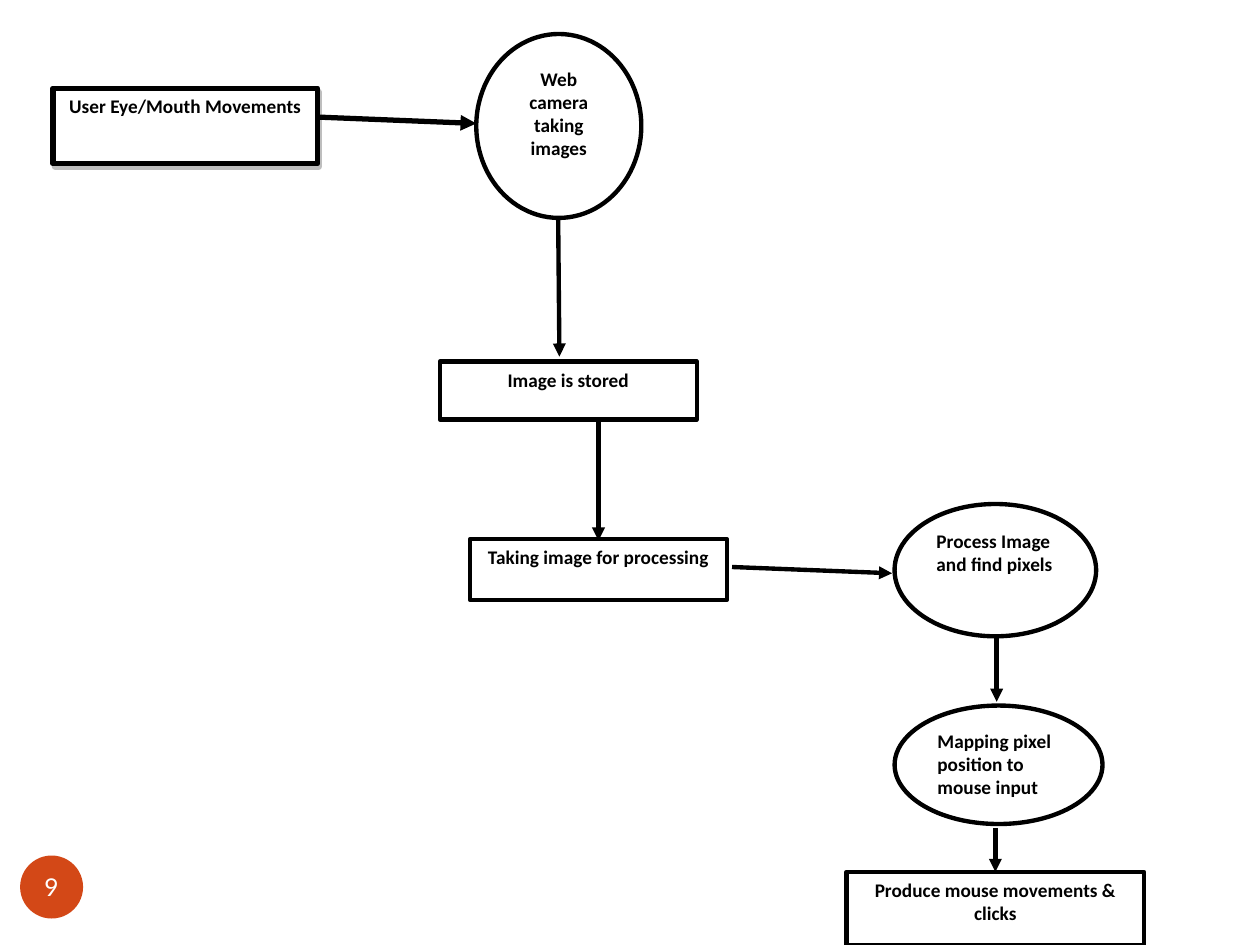
from dataclasses import dataclass
from typing import Optional

from lxml import etree
from pptx import Presentation
from pptx import util as u
from pptx.dml.color import RGBColor
from pptx.enum import shapes, text
from pptx.oxml import parse_xml
from pptx.oxml.ns import nsdecls, qn

BLACK = RGBColor(0x00, 0x00, 0x00)
WHITE = RGBColor(0xFF, 0xFF, 0xFF)
ORANGE = RGBColor(0xD3, 0x48, 0x17)

RECTANGLE = shapes.MSO_SHAPE.RECTANGLE
ELLIPSE = shapes.MSO_SHAPE.OVAL
CENTER = text.PP_ALIGN.CENTER
LEFT = text.PP_ALIGN.LEFT
TOP_SITE = 0


@dataclass
class Step:
    label: str
    kind: shapes.MSO_SHAPE
    left: float
    top: float
    width: float
    height: float
    align: text.PP_ALIGN = CENTER
    line_width: float = 2.5


@dataclass
class Arrow:
    start: tuple[float, float]
    end: tuple[float, float]
    width: float = 2.5
    top_of: Optional[str] = None


USER = "User Eye/Mouth Movements"
OUTPUT = "Produce mouse movements & clicks"

STEPS = [
    Step(USER, RECTANGLE, 0.42, 0.7, 2.1, 0.6, line_width=3),
    Step("Web camera taking images", ELLIPSE, 3.78, 0.27, 1.31, 1.46),
    Step("Image is stored", RECTANGLE, 3.49, 2.87, 2.04, 0.46),
    Step("Taking image for processing", RECTANGLE, 3.73, 4.28, 2.04, 0.48),
    Step("Process Image and find pixels", ELLIPSE, 7.1, 4, 1.6, 1.05, LEFT),
    Step("Mapping pixel position to mouse input", ELLIPSE, 7.1, 5.6, 1.65, 0.94, LEFT),
    Step(OUTPUT, RECTANGLE, 6.72, 6.92, 2.36, 0.58),
]

ARROWS = [
    Arrow((2.54, 0.93), (3.78, 0.98), width=3),
    Arrow((4.43, 1.74), (4.44, 2.83)),
    Arrow((4.75, 3.33), (4.75, 4.29)),
    Arrow((5.81, 4.5), (7.08, 4.55)),
    Arrow((7.91, 5.05), (7.91, 5.57)),
    Arrow((7.9, 6.57), (7.9, 6.9), top_of=OUTPUT),
]


def add_filled_shape(slide, kind, left, top, width, height, fill: RGBColor):
    shape = slide.shapes.add_shape(
        kind, u.Inches(left), u.Inches(top), u.Inches(width), u.Inches(height)
    )
    shape.shadow.inherit = False
    shape.fill.solid()
    shape.fill.fore_color.rgb = fill
    return shape


def write(shape, label: str, font_name: str, size: float, color: RGBColor,
          align: text.PP_ALIGN, bold: bool = False) -> None:
    shape.text_frame.text = label
    paragraph = shape.text_frame.paragraphs[0]
    paragraph.alignment = align
    font = paragraph.runs[0].font
    font.name = font_name
    font.size = u.Pt(size)
    font.bold = bold
    font.color.rgb = color


def add_step(slide, step: Step):
    shape = add_filled_shape(
        slide, step.kind, step.left, step.top, step.width, step.height, WHITE
    )
    shape.line.color.rgb = BLACK
    shape.line.width = u.Pt(step.line_width)
    shape.text_frame.word_wrap = True
    shape.text_frame.vertical_anchor = text.MSO_ANCHOR.TOP
    write(shape, step.label, "Calibri", 11, BLACK, step.align, bold=True)
    return shape


def add_drop_shadow(shape) -> None:
    """Give the shape a sharp, half-transparent grey shadow at 63 degrees."""
    effects = shape._element.spPr.find(qn("a:effectLst"))
    effects.append(parse_xml(
        f'<a:outerShdw {nsdecls("a")} dist="{u.Pt(2.2)}" dir="{63 * 60000}" '
        'algn="ctr" rotWithShape="0"><a:srgbClr val="7F7F7F">'
        '<a:alpha val="50000"/></a:srgbClr></a:outerShdw>'
    ))


def add_arrow(slide, arrow: Arrow, steps: dict) -> None:
    points = [u.Inches(value) for value in (*arrow.start, *arrow.end)]
    connector = slide.shapes.add_connector(shapes.MSO_CONNECTOR.STRAIGHT, *points)
    if arrow.top_of:
        connector.end_connect(steps[arrow.top_of], TOP_SITE)
    connector.line.color.rgb = BLACK
    connector.line.width = u.Pt(arrow.width)
    properties = connector._element.spPr
    etree.SubElement(properties.find(qn("a:ln")), qn("a:tailEnd"), type="triangle")
    etree.SubElement(properties, qn("a:effectLst"))


def add_page_number(slide, number: str) -> None:
    badge = add_filled_shape(slide, ELLIPSE, 0.16, 6.79, 0.5, 0.5, ORANGE)
    badge.line.fill.background()
    frame = badge.text_frame
    frame.margin_left = frame.margin_right = frame.margin_top = frame.margin_bottom = 0
    frame.word_wrap = False
    frame.vertical_anchor = text.MSO_ANCHOR.MIDDLE
    write(badge, number, "Lato", 14, WHITE, CENTER)


def main() -> None:
    presentation = Presentation()
    presentation.slide_width = u.Inches(10)
    presentation.slide_height = u.Inches(7.5)
    slide = presentation.slides.add_slide(presentation.slide_layouts[6])

    add_page_number(slide, "9")
    steps = {step.label: add_step(slide, step) for step in STEPS}
    add_drop_shadow(steps[USER])
    for arrow in ARROWS:
        add_arrow(slide, arrow, steps)

    presentation.save("out.pptx")


if __name__ == "__main__":
    main()
